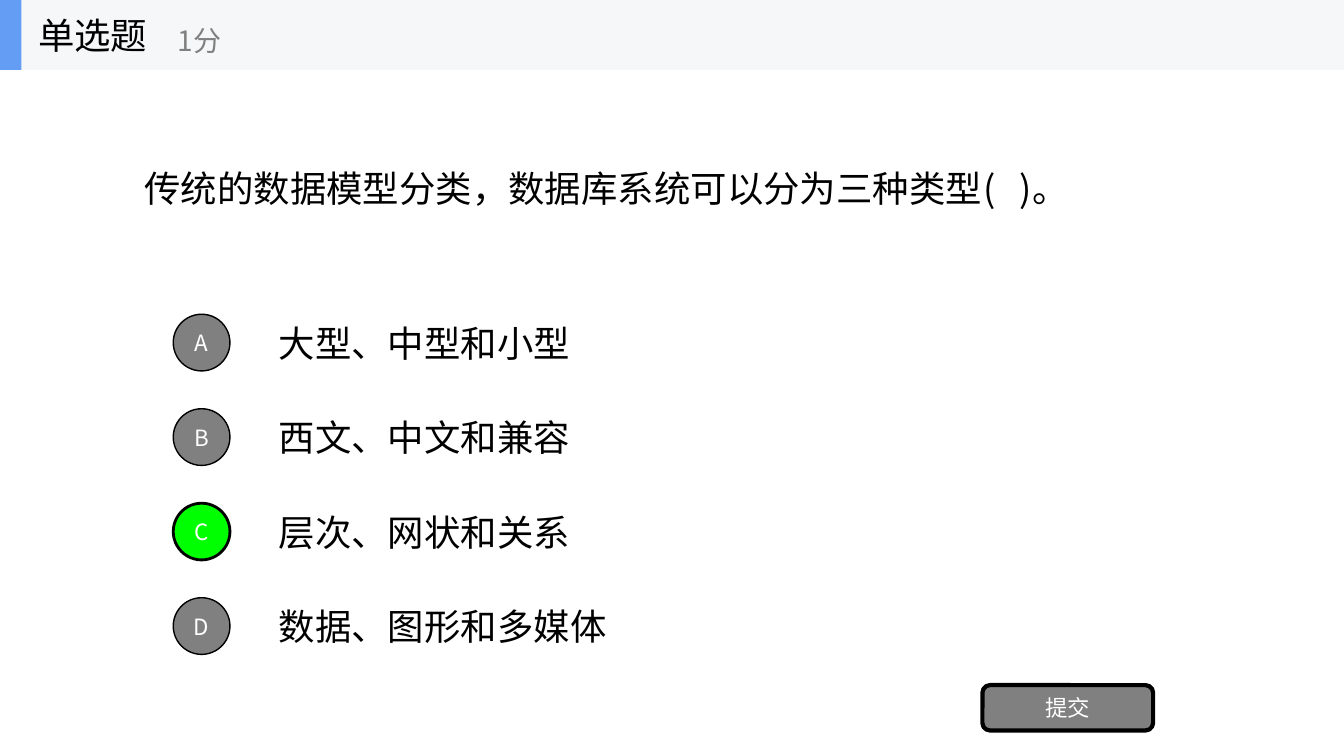
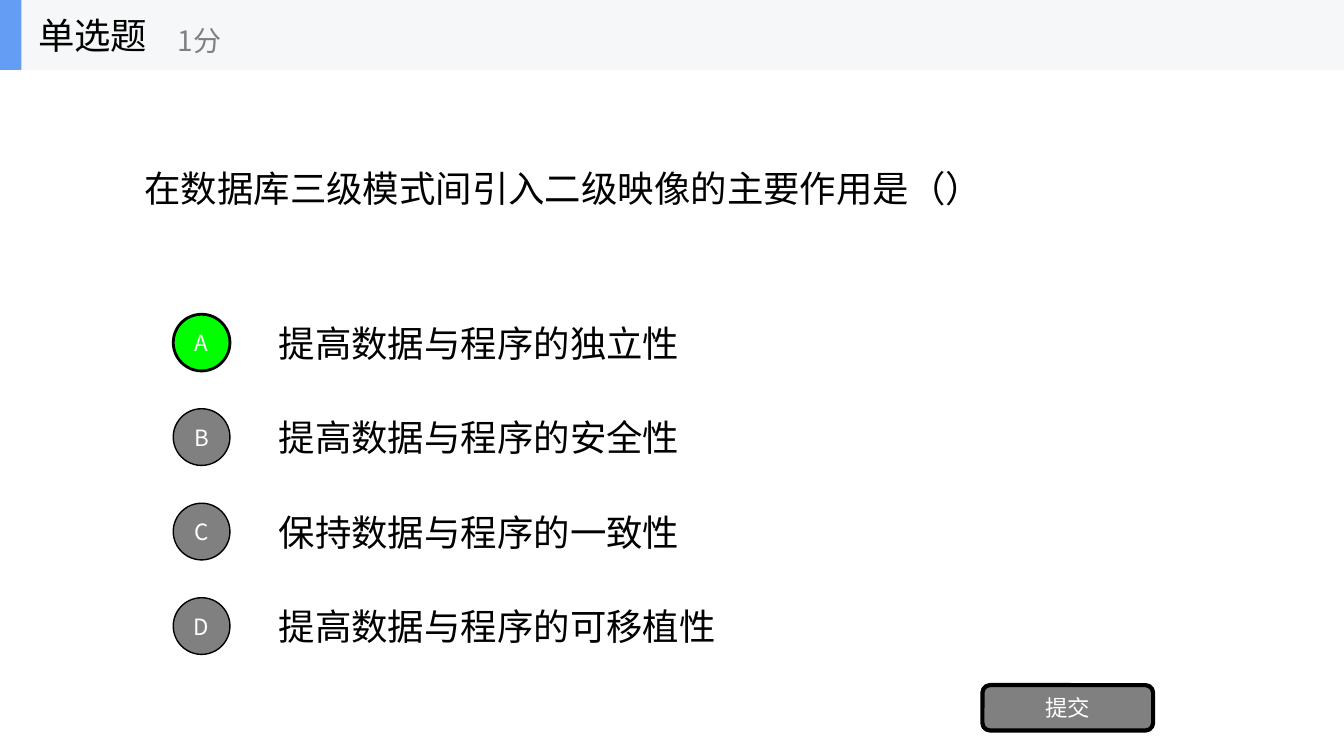
"""Build single-choice quiz slides on a grid of ten columns and eight rows."""
from lxml.etree import SubElement
from pptx import Presentation
from pptx.dml.color import RGBColor
from pptx.enum.shapes import MSO_SHAPE
from pptx.enum.text import MSO_ANCHOR, PP_ALIGN
from pptx.oxml.ns import qn
from pptx.util import Inches, Pt

WIDE, HIGH = 13.33, 7.5
COL, ROW = WIDE / 10, HIGH / 8
FONT = "Noto Sans CJK SC"
HUES = {
    "ink": "000000",
    "paper": "FFFFFF",
    "gray": "808080",
    "right": "00FF00",
    "band": "F6F7F8",
    "accent": "639EF4",
}
HEAD = 0.74
FIRST = 3.25
LABEL = 0.75
BADGE = 0.6
QUIZ = [
    (
        "传统的数据模型分类，数据库系统可以分为三种类型(   )。",
        ["大型、中型和小型", "西文、中文和兼容", "层次、网状和关系", "数据、图形和多媒体"],
        "C",
    ),
    (
        "在数据库三级模式间引入二级映像的主要作用是（）",
        [
            "提高数据与程序的独立性",
            "提高数据与程序的安全性",
            "保持数据与程序的一致性",
            "提高数据与程序的可移植性",
        ],
        "A",
    ),
]


def hue(name):
    return RGBColor.from_string(HUES[name])


def place(x, y, w, h):
    return Inches(x * COL), Inches(y * ROW), Inches(w * COL), Inches(h * ROW)


def write(shape, words, size, tint, align):
    frame = shape.text_frame
    frame.word_wrap = True
    frame.vertical_anchor = MSO_ANCHOR.MIDDLE
    para = frame.paragraphs[0]
    para.alignment = align
    run = para.add_run()
    run.text = words
    run.font.size = Pt(size)
    run.font.name = FONT
    run.font.color.rgb = hue(tint)
    SubElement(run._r.get_or_add_rPr(), qn("a:ea"), typeface=FONT)


def label(shapes, box, words, size=26, tint="ink"):
    write(shapes.add_textbox(*place(*box)), words, size, tint, PP_ALIGN.LEFT)


def block(shapes, kind, box, fill, line=0):
    shape = shapes.add_shape(kind, *place(*box))
    shape.shadow.inherit = False
    shape.fill.solid()
    shape.fill.fore_color.rgb = hue(fill)
    if line:
        shape.line.color.rgb = hue("ink")
        shape.line.width = Pt(line)
    else:
        shape.line.fill.background()
    return shape


def button(shapes, kind, box, words, fill, line):
    shape = block(shapes, kind, box, fill, line)
    frame = shape.text_frame
    frame.margin_left = frame.margin_right = 0
    frame.margin_top = frame.margin_bottom = 0
    write(shape, words, 16, "paper", PP_ALIGN.CENTER)


def header(slide):
    shapes = slide.shapes.add_group_shape().shapes
    block(shapes, MSO_SHAPE.RECTANGLE, (0, 0, 10, HEAD), "band")
    block(shapes, MSO_SHAPE.RECTANGLE, (0, 0, 0.16, HEAD), "accent")
    label(shapes, (0.21, 0, 1.56, HEAD), "单选题")
    label(shapes, (1.25, 0.13, 1.88, 0.6), "1分", 20, "gray")


def options(shapes, texts, answer):
    for num, words in enumerate(texts):
        label(shapes, (2, FIRST + num, 7, LABEL), words)
    side = BADGE * ROW / COL
    for num, mark in enumerate("ABCD"):
        box = (1.5 - side / 2, FIRST + num + (LABEL - BADGE) / 2, side, BADGE)
        fill, line = ("right", 2) if mark == answer else ("gray", 1)
        button(shapes, MSO_SHAPE.OVAL, box, mark, fill, line)


def quiz(slide, ask, texts, answer):
    shapes = slide.shapes
    label(shapes, (1, HEAD, 8, 2.5), ask)
    options(shapes, texts, answer)
    box = (7.31, 7.25, 1.27, 0.48)
    button(shapes, MSO_SHAPE.ROUNDED_RECTANGLE, box, "提交", "gray", 3)
    header(slide)


def main():
    deck = Presentation()
    deck.slide_width, deck.slide_height = Inches(WIDE), Inches(HIGH)
    for item in QUIZ:
        quiz(deck.slides.add_slide(deck.slide_layouts[6]), *item)
    deck.save("out.pptx")


if __name__ == "__main__":
    main()
